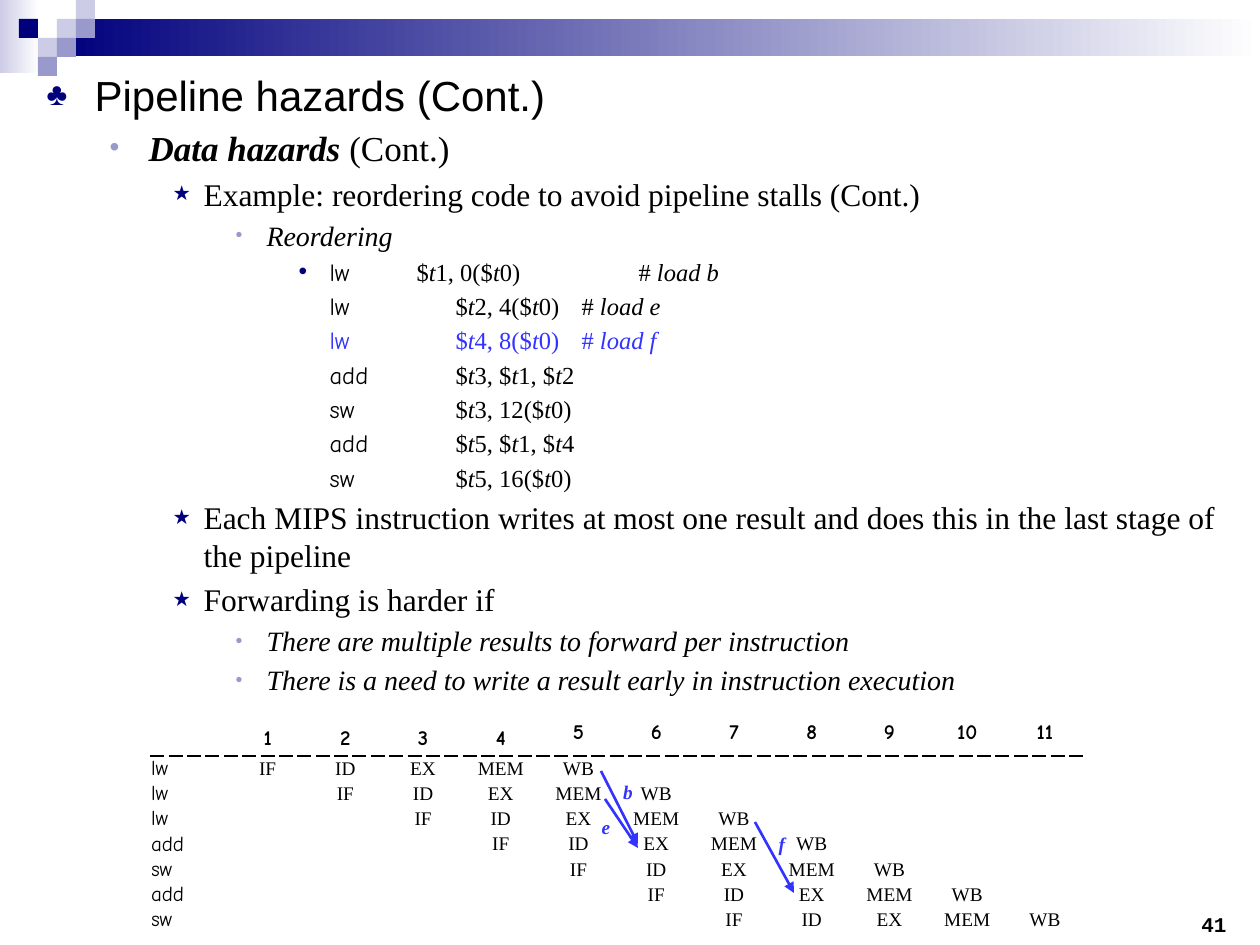
from pptx import Presentation
from pptx.dml.color import RGBColor
from pptx.enum.dml import MSO_LINE
from pptx.enum.shapes import MSO_CONNECTOR, MSO_SHAPE
from pptx.enum.text import MSO_ANCHOR, MSO_AUTO_SIZE, PP_ALIGN
from pptx.oxml.ns import qn
from pptx.util import Emu, Pt
from lxml import etree

RECT, STRAIGHT = MSO_SHAPE.RECTANGLE, MSO_CONNECTOR.STRAIGHT
TOP, MIDDLE = MSO_ANCHOR.TOP, MSO_ANCHOR.MIDDLE
LEFT, CENTER = PP_ALIGN.LEFT, PP_ALIGN.CENTER

BLACK = RGBColor(0, 0, 0)
WHITE = RGBColor(0xFF, 0xFF, 0xFF)
NAVY = RGBColor(0x00, 0x00, 0x7D)
LAVENDER = RGBColor(0x99, 0x99, 0xCC)
PALE = RGBColor(0xCC, 0xCC, 0xE6)
BLUE = RGBColor(0x33, 0x33, 0xFF)

SERIF, SANS, COMIC, MONO = "Times New Roman", "Arial", "Comic Neue", "Courier New"

# Per list level: text indent px, hanging px, bullet, colour, bullet %, size
LEVELS = [
    (48, 48, "♣", NAVY, 75, 24),
    (102, 39, "•", LAVENDER, 80, 20),
    (157, 31, "★", NAVY, 65, 18),
    (220, 31, "•", LAVENDER, 70, 16),
    (283, 31, "•", NAVY, 100, 14),
]
CODE = [
    ("lw", "$t1, 0($t0)", "load b"),
    ("lw", "$t2, 4($t0)", "load e"),
    ("lw", "$t4, 8($t0)", "load f"),
    ("add", "$t3, $t1, $t2", ""),
    ("sw", "$t3, 12($t0)", ""),
    ("add", "$t5, $t1, $t4", ""),
    ("sw", "$t5, 16($t0)", ""),
]
MOVED_ROW = 2
STAGES = ["IF", "ID", "EX", "MEM", "WB"]
CYCLES = 11


def px(n):
    return Emu(round(n * 914400 / 126))


def style(r, size, font, color=BLACK, bold=False, italic=False):
    f = r.font
    f.size, f.name, f.bold, f.italic = Pt(size), font, bold, italic
    f.color.rgb = color


def add_run(p, text, size, font, color=BLACK, bold=False, italic=False):
    r = p.add_run()
    r.text = text
    style(r, size, font, color, bold, italic)


def add_label(s, box, text, size, font, color, italic=False):
    tf = s.shapes.add_textbox(*map(px, box)).text_frame
    tf.margin_left = tf.margin_right = tf.margin_top = tf.margin_bottom = 0
    tf.word_wrap = True
    tf.vertical_anchor = MIDDLE
    p = tf.paragraphs[0]
    p.text = text
    p.alignment = CENTER
    style(p.runs[0], size, font, color, True, italic)


def add_banner(s, x, y):
    def block(left, top, width, height, color, end=None):
        sp = s.shapes.add_shape(RECT, px(x + left), px(y + top), px(width), px(height))
        sp.shadow.inherit = False
        sp.line.fill.background()
        if end is None:
            sp.fill.solid()
            sp.fill.fore_color.rgb = color
            return
        sp.fill.gradient()
        sp.fill.gradient_angle = 0
        for stop, rgb, pos in zip(sp.fill.gradient_stops, (color, end), (0, 1)):
            stop.color.rgb, stop.position = rgb, pos

    block(0, 0, 39, 73, PALE, WHITE)
    block(57, 19, 1203, 37, NAVY, WHITE)
    # Checkered squares by column and row
    for col, row, color in [(2, 1, PALE), (3, 0, PALE), (3, 1, LAVENDER), (1, 2, PALE),
                            (0, 1, NAVY), (2, 2, LAVENDER), (1, 3, LAVENDER)]:
        block(19 + 19 * col, 19 * row, 19, 19, color)


def add_item(tf, level, bullet=True, tabs=()):
    """Add a list paragraph with its indent, bullet and tab stops."""
    p = tf.paragraphs[0] if level == 0 else tf.add_paragraph()
    p.level = level
    indent, hang, char, color, percent, _ = LEVELS[level]
    pPr = p._p.get_or_add_pPr()
    pPr.set("marL", str(px(indent)))
    pPr.set("indent", str(-px(hang)))
    pPr.set("defTabSz", str(px(126)))
    if level == 0:
        p.space_before = Pt(0)
    if bullet:
        clr = etree.SubElement(pPr, qn("a:buClr"))
        etree.SubElement(clr, qn("a:srgbClr"), val=str(color))
        etree.SubElement(pPr, qn("a:buSzPct"), val=str(percent * 1000))
        etree.SubElement(pPr, qn("a:buFont"), typeface=SANS)
        etree.SubElement(pPr, qn("a:buChar"), char=char)
    else:
        etree.SubElement(pPr, qn("a:buNone"))
    if tabs:
        tab_list = etree.SubElement(pPr, qn("a:tabLst"))
        for pos in tabs:
            etree.SubElement(tab_list, qn("a:tab"), pos=str(px(pos)), algn="l")
    return p


def add_text_item(tf, level, text):
    p = add_item(tf, level)
    add_run(p, text, LEVELS[level][5], SANS if level == 0 else SERIF, italic=level == 3)


def add_code(tf):
    size, indent = LEVELS[4][5], LEVELS[4][0]
    for i, (op, operands, note) in enumerate(CODE):
        first = i == 0
        tabs = (370, 592) if first else [indent + 126 * n for n in range(3)]
        p = add_item(tf, 4, first, tabs)
        color = BLUE if i == MOVED_ROW else BLACK
        add_run(p, op + "\t" if first else "\t" + op + "\t", size, COMIC, color)
        # Register letters are italic
        pieces = (operands + ("\t# " if note else "")).split("t")
        for n, piece in enumerate(pieces):
            if n:
                add_run(p, "t", size, SERIF, color, italic=True)
            add_run(p, piece, size, SERIF, color)
        if note:
            add_run(p, note, size, SERIF, color, italic=True)


def add_body(s, x, y, w, h):
    sp = s.placeholders[1]
    sp.left, sp.top, sp.width, sp.height = map(px, (x, y, w, h))
    tf = sp.text_frame
    tf.auto_size = MSO_AUTO_SIZE.NONE
    tf.margin_top = px(11)
    add_text_item(tf, 0, "Pipeline hazards (Cont.)")
    p = add_item(tf, 1)
    add_run(p, "Data hazards", 20, SERIF, bold=True, italic=True)
    add_run(p, " (Cont.)", 20, SERIF)
    add_text_item(tf, 2, "Example: reordering code to avoid pipeline stalls (Cont.)")
    add_text_item(tf, 3, "Reordering")
    add_code(tf)
    add_text_item(tf, 2, "Each MIPS instruction writes at most one result and does this "
                         "in the last stage of the pipeline")
    add_text_item(tf, 2, "Forwarding is harder if")
    add_text_item(tf, 3, "There are multiple results to forward per instruction")
    add_text_item(tf, 3, "There is a need to write a result early in instruction execution")


def add_border(cell, side):
    ln = etree.Element(qn("a:" + side), w=str(Pt(0.75)))
    fill = etree.SubElement(ln, qn("a:solidFill"))
    etree.SubElement(fill, qn("a:srgbClr"), val=str(BLACK))
    etree.SubElement(ln, qn("a:prstDash"), val="sysDash")
    cell._tc.get_or_add_tcPr().insert(0, ln)


def cell_text(row, col):
    if row == 0:
        return str(col) if col else ""
    if col == 0:
        return CODE[row - 1][0]
    stage = col - row
    return STAGES[stage] if 0 <= stage < len(STAGES) else ""


def add_pipeline(s, x, y, w, h):
    rows, cols = len(CODE) + 1, CYCLES + 1
    table = s.shapes.add_table(rows, cols, px(x), px(y), px(w), px(h)).table
    table.first_row = table.horz_banding = False
    for col in table.columns:
        col.width = px(w / cols)
    for i, row in enumerate(table.rows):
        row.height = px(25 if i else h - 25 * len(CODE))
        for j, cell in enumerate(row.cells):
            cell.margin_left = cell.margin_right = cell.margin_top = cell.margin_bottom = 0
            cell.vertical_anchor = TOP if i == 0 and j > 4 else MIDDLE
            cell.fill.background()
            if i < 2:
                add_border(cell, "lnT" if i else "lnB")
            p = cell.text_frame.paragraphs[0]
            p.alignment = CENTER if j else LEFT
            text = cell_text(i, j)
            if text:
                stage = i > 0 and j > 0
                add_run(p, text, 11 if stage else 12, SERIF if stage else COMIC, bold=i == 0)
            else:
                etree.SubElement(p._p, qn("a:endParaRPr"), sz="1100")
    # Forwarding arrows and the values they carry
    for x1, y1, x2, y2 in [(454, 78, 487, 127), (450, 50, 487, 123), (604, 101, 643, 172)]:
        line = s.shapes.add_connector(STRAIGHT, px(x + x1), px(y + y1), px(x + x2), px(y + y2))
        line.line.color.rgb = BLUE
        line.line.width = Pt(1.5)
        line.line.dash_style = MSO_LINE.SOLID
        etree.SubElement(line.line._get_or_add_ln(), qn("a:tailEnd"), type="triangle")
        etree.SubElement(line._element.spPr, qn("a:effectLst"))
    for name, left, top in [("b", 464, 59), ("e", 442, 94), ("f", 618, 111)]:
        add_label(s, (x + left, y + top, 26, 23), name, 11, SERIF, BLUE, italic=True)


def main():
    prs = Presentation()
    prs.slide_width, prs.slide_height = px(1260), px(945)
    s = prs.slides.add_slide(prs.slide_layouts[1])
    title = s.shapes.title._element
    title.getparent().remove(title)
    add_banner(s, 0, 0)
    add_label(s, (1170, 910, 88, 29), "41", 12, MONO, BLACK)
    add_body(s, 34, 58, 1201, 663)
    add_pipeline(s, 151, 721, 933, 210)
    prs.save("out.pptx")


if __name__ == "__main__":
    main()
